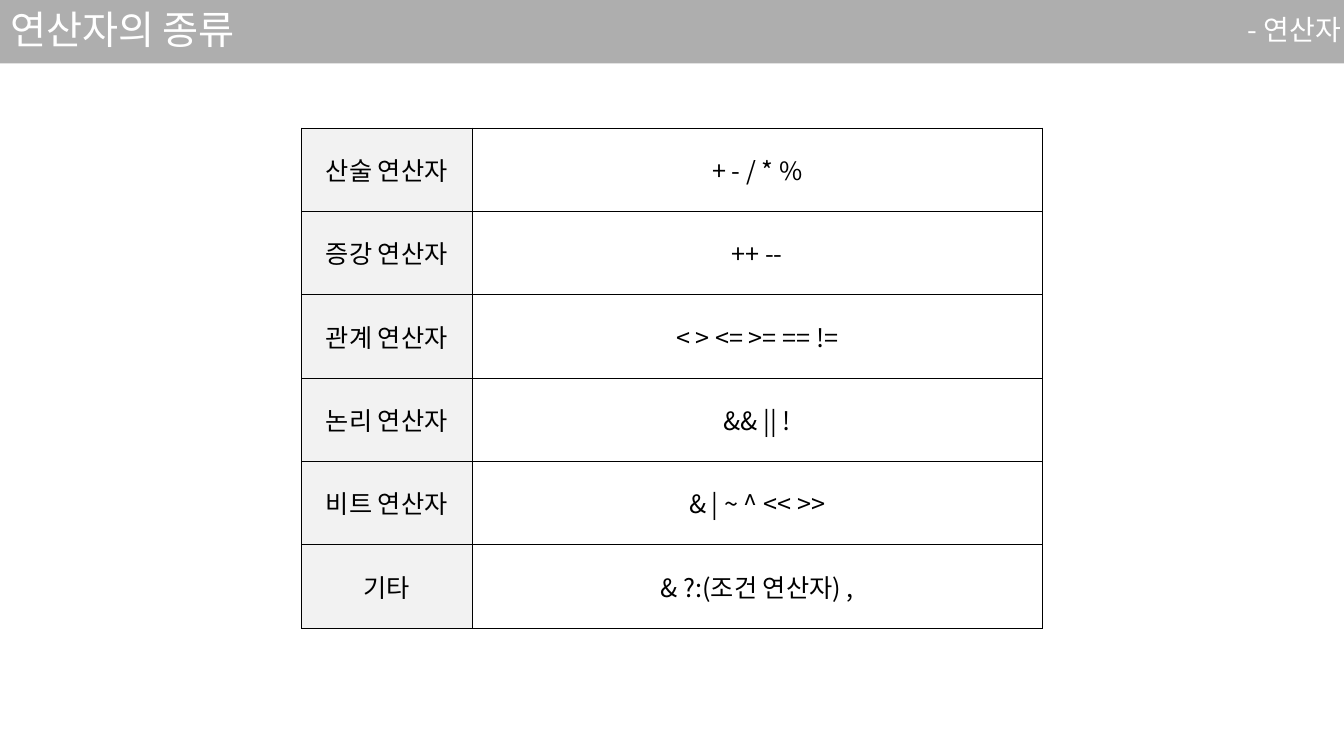
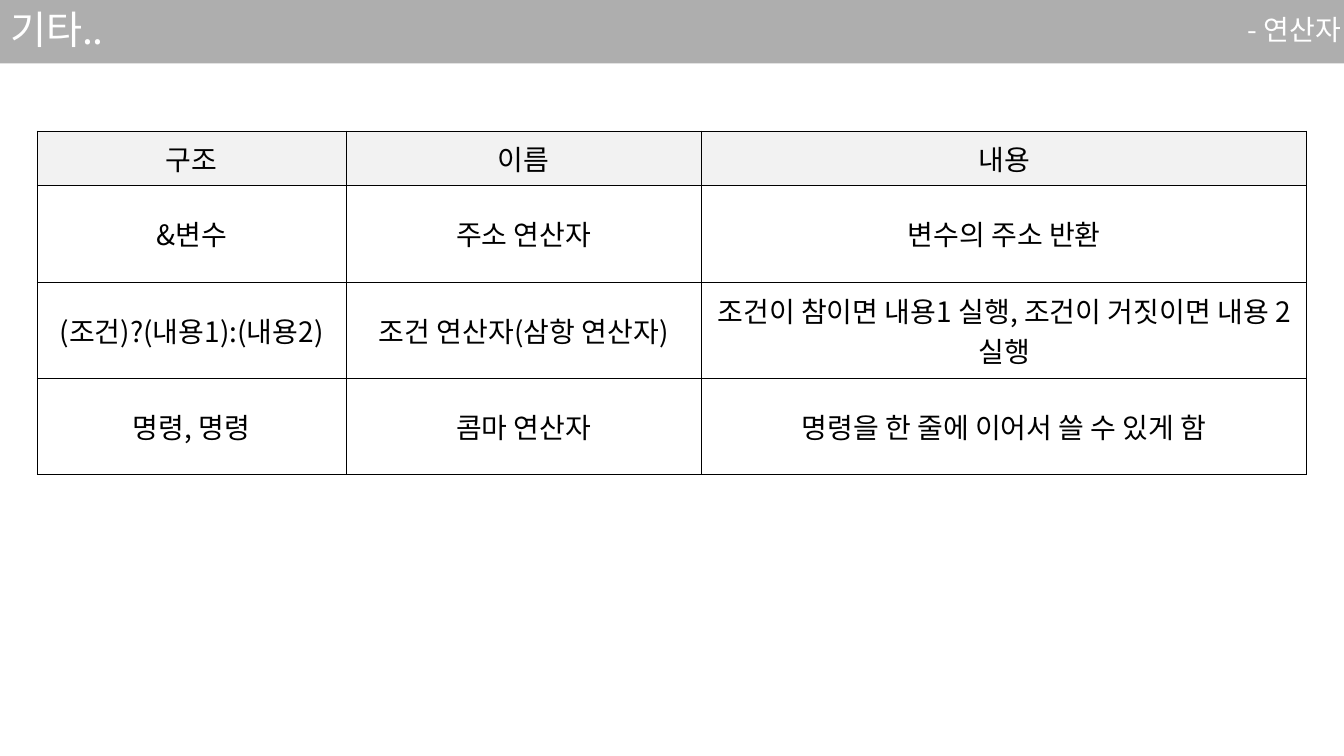
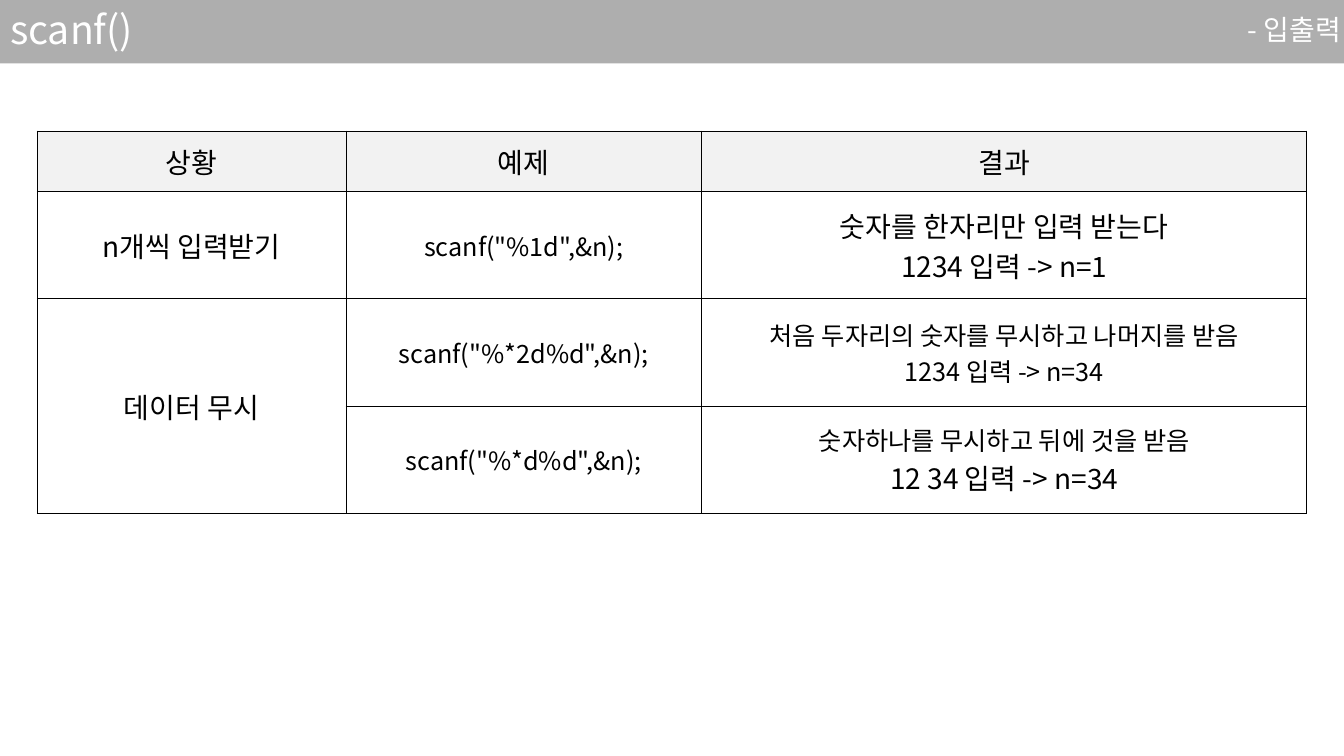
from dataclasses import dataclass
from lxml import etree
from pptx import Presentation
from pptx.dml.color import RGBColor
from pptx.enum.shapes import MSO_SHAPE
from pptx.enum.text import MSO_ANCHOR, MSO_AUTO_SIZE, PP_ALIGN
from pptx.oxml.ns import qn
from pptx.util import Inches, Pt

RECT = MSO_SHAPE.RECTANGLE
MIDDLE = MSO_ANCHOR.MIDDLE
GROW = MSO_AUTO_SIZE.SHAPE_TO_FIT_TEXT
LEFT, CENTER, RIGHT = PP_ALIGN.LEFT, PP_ALIGN.CENTER, PP_ALIGN.RIGHT


@dataclass(frozen=True)
class Theme:
    font: str = "Noto Sans CJK KR"
    white: str = "FFFFFF"
    text: str = "000000"
    band: str = "181717"
    band_alpha: int = 35
    head: str = "F2F2F2"
    border_pt: float = 0.5
    title: int = 28
    body: int = 20
    small: int = 18


T = Theme()
WIDTH, HEIGHT = 13.33, 7.5
BAND_H = 0.63
TITLE_BOX = (0, 0.05, 7.35, 0.53)
TOPIC_BOX = (7.97, 0.11, 5.43, 0.41)

# Content: a cell is one text, or a list of (line, size) pairs
OPERATORS = [
    ("산술 연산자", "+ - / * %"),
    ("증강 연산자", "++ --"),
    ("관계 연산자", "< > <= >= == !="),
    ("논리 연산자", "&& || !"),
    ("비트 연산자", "& | ~ ^ << >>"),
    ("기타", "& ?:(조건 연산자) ,"),
]
OTHERS = [
    ("구조", "이름", "내용"),
    ("&변수", "주소 연산자", "변수의 주소 반환"),
    ("(조건)?(내용1):(내용2)", "조건 연산자(삼항 연산자)",
     "조건이 참이면 내용1 실행, 조건이 거짓이면 내용 2 실행"),
    ("명령, 명령", "콤마 연산자", "명령을 한 줄에 이어서 쓸 수 있게 함"),
]
SCANF = [
    ("상황", "예제", "결과"),
    ("n개씩 입력받기", [('scanf("%1d",&n);', T.small)],
     [("숫자를 한자리만 입력 받는다", T.body), ("1234 입력 -> n=1", T.body)]),
    ("데이터 무시", [('scanf("%*2d%d",&n);', T.small)],
     [("처음 두자리의 숫자를 무시하고 나머지를 받음", T.small),
      ("1234 입력 -> n=34", T.small)]),
    ("", [('scanf("%*d%d",&n);', T.small)],
     [("숫자하나를 무시하고 뒤에 것을 받음", T.small),
      ("12 34 입력 -> n=34", T.body)]),
]
# Table looks: columns, top, height, header row height, insets, text size
SIDE_HEAD = dict(cols=(1.69, 5.66), top=1.27, height=4.96, head_h=None,
                 inset=(0.1, 0.05), size=T.small)
WIDE = dict(cols=(3.06, 3.53, 6), top=1.3, inset=(0.12, 0.06), size=T.body)
SLIDES = [
    ("연산자의 종류", "- 연산자", OPERATORS, SIDE_HEAD, None),
    ("기타..", "- 연산자", OTHERS, dict(WIDE, height=3.41, head_h=0.54), None),
    ("scanf()", "- 입출력", SCANF, dict(WIDE, height=3.79, head_h=0.6),
     ((2, 0), (3, 0))),
]


def rgb(value):
    return RGBColor.from_string(value)


def style(p, size, color, align):
    p.alignment = align
    for r in p.runs:
        r.font.size = Pt(size)
        r.font.name = T.font
        r.font.color.rgb = rgb(color)
        ea = etree.SubElement(r._r.get_or_add_rPr(), qn("a:ea"))
        ea.set("typeface", T.font)


def heading(sp, box, text, size, align):
    sp.left, sp.top, sp.width, sp.height = map(Inches, box)
    tf = sp.text_frame
    tf.text = text
    tf.word_wrap = True
    tf.auto_size = GROW
    tf.vertical_anchor = MIDDLE
    p = tf.paragraphs[0]
    p.line_spacing = 0.9
    style(p, size, T.white, align)
    return p


def add_band(s, layout):
    """Draw the title band and hand it to the layout, behind its text."""
    sp = s.shapes.add_shape(RECT, 0, 0, Inches(WIDTH), Inches(BAND_H))
    sp.shadow.inherit = False
    sp.line.fill.background()
    sp.fill.solid()
    sp.fill.fore_color.rgb = rgb(T.band)
    color = sp.element.spPr.find(".//" + qn("a:srgbClr"))
    etree.SubElement(color, qn("a:alpha")).set("val", str(T.band_alpha * 1000))
    layout.shapes.element.insert(2, sp.element)


def add_borders(cell):
    tc_pr = cell._tc.get_or_add_tcPr()
    for side in ("lnL", "lnR", "lnT", "lnB"):
        ln = etree.SubElement(tc_pr, qn("a:" + side), w=str(Pt(T.border_pt)))
        fill = etree.SubElement(ln, qn("a:solidFill"))
        etree.SubElement(fill, qn("a:srgbClr"), val=T.text)


def fill_cell(cell, content, size, inset, color):
    add_borders(cell)
    cell.fill.solid()
    cell.fill.fore_color.rgb = rgb(color)
    cell.vertical_anchor = MIDDLE
    cell.margin_left = cell.margin_right = Inches(inset[0])
    cell.margin_top = cell.margin_bottom = Inches(inset[1])
    lines = [(content, size)] if isinstance(content, str) else content
    cell.text_frame.text = "\n".join(text for text, _ in lines)
    for p, (_, line_size) in zip(cell.text_frame.paragraphs, lines):
        style(p, line_size, T.text, CENTER)


def add_table(s, rows, cols, top, height, head_h, inset, size, merge):
    width = sum(cols)
    table = s.shapes.add_table(
        len(rows), len(cols), Inches((WIDTH - width) / 2), Inches(top),
        Inches(width), Inches(height)).table
    table.first_row = table.horz_banding = False
    for column, w in zip(table.columns, cols):
        column.width = Inches(w)
    # A header row has its own height; the others share the rest
    heads = 1 if head_h else 0
    row_h = (height - (head_h or 0)) / (len(rows) - heads)
    for i, row in enumerate(rows):
        table.rows[i].height = Inches(head_h if i < heads else row_h)
        for j, content in enumerate(row):
            is_head = i == 0 if heads else j == 0
            fill_cell(table.cell(i, j), content, size, inset,
                      T.head if is_head else T.white)
    if merge:
        first, last = merge
        table.cell(*first).merge(table.cell(*last))


# Build the slides
prs = Presentation()
prs.slide_width, prs.slide_height = Inches(WIDTH), Inches(HEIGHT)
title_only = prs.slide_layouts[5]
for n, (title, topic, rows, look, merge) in enumerate(SLIDES):
    s = prs.slides.add_slide(title_only)
    if n == 0:
        add_band(s, title_only)
    heading(s.shapes.title, TITLE_BOX, title, T.title, LEFT)
    topic_box = s.shapes.add_textbox(0, 0, 0, 0)
    heading(topic_box, TOPIC_BOX, topic, T.body, RIGHT).space_before = Pt(10)
    add_table(s, rows, merge=merge, **look)
prs.save("out.pptx")
